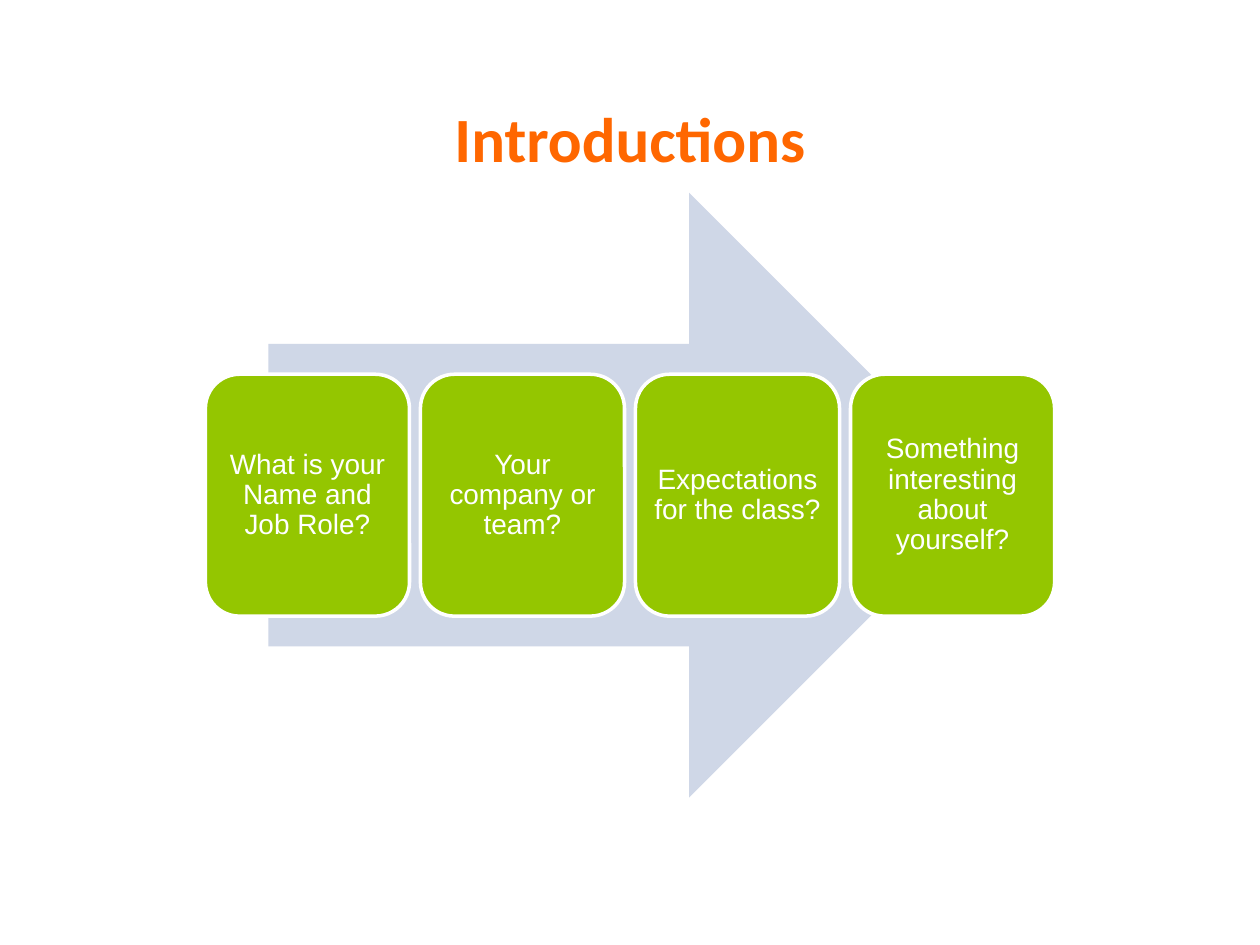
from pptx import Presentation
from pptx import util as u
from pptx.dml.color import RGBColor
from pptx.enum import shapes, text

ORANGE, GREEN, PALE_BLUE, WHITE = "FF6700", "94C600", "CFD7E7", "FFFFFF"
QUESTIONS = [
    "What is your Name and Job Role?",
    "Your company or team?",
    "Expectations for the class?",
    "Something interesting about yourself?",
]
CARD_LEFT, CARD_TOP, CARD_WIDTH, CARD_HEIGHT = 1.63, 2.97, 1.62, 1.92
LAST_CARD_LEFT = 6.75


def color(hex_code):
    return RGBColor.from_string(hex_code)


def write_centered(frame, wording, font_name, size, hex_code, bold=False):
    frame.word_wrap = True
    frame.vertical_anchor = text.MSO_ANCHOR.MIDDLE
    paragraph = frame.paragraphs[0]
    paragraph.alignment = text.PP_ALIGN.CENTER
    paragraph.line_spacing = 0.9
    paragraph.space_before = u.Pt(0)
    run = paragraph.add_run()
    run.text = wording
    run.font.name = font_name
    run.font.size = u.Pt(size)
    run.font.bold = bold
    run.font.color.rgb = color(hex_code)


def add_filled(slide, preset, box, hex_code):
    filled = slide.shapes.add_shape(preset, *map(u.Inches, box))
    filled.shadow.inherit = False
    filled.fill.solid()
    filled.fill.fore_color.rgb = color(hex_code)
    filled.line.fill.background()
    return filled


def add_heading(slide, wording):
    heading = slide.shapes.title
    heading.left, heading.top = u.Inches(0.69), u.Inches(0.4)
    heading.width, heading.height = u.Inches(8.62), u.Inches(1.45)
    write_centered(heading.text_frame, wording, "Calibri", 36, ORANGE, bold=True)


def add_question_card(slide, left, question):
    card = add_filled(slide, shapes.MSO_SHAPE.ROUNDED_RECTANGLE,
                      (left, CARD_TOP, CARD_WIDTH, CARD_HEIGHT), GREEN)
    card.adjustments[0] = 0.167
    card.line.color.rgb = color(WHITE)
    card.line.width = u.Pt(2)
    frame = card.text_frame
    frame.margin_left = frame.margin_right = u.Inches(0.07)
    frame.margin_top = frame.margin_bottom = u.Inches(0.07)
    write_centered(frame, question, "Arial", 16, WHITE)


def main():
    deck = Presentation()
    deck.slide_width, deck.slide_height = u.Inches(10), u.Inches(7.5)
    slide = deck.slides.add_slide(deck.slide_layouts[5])
    add_heading(slide, "Introductions")
    add_filled(slide, shapes.MSO_SHAPE.RIGHT_ARROW, (2.13, 1.53, 5.74, 4.8), PALE_BLUE)
    pitch = (LAST_CARD_LEFT - CARD_LEFT) / (len(QUESTIONS) - 1)
    for index, question in enumerate(QUESTIONS):
        add_question_card(slide, CARD_LEFT + index * pitch, question)
    deck.save("out.pptx")


if __name__ == "__main__":
    main()
